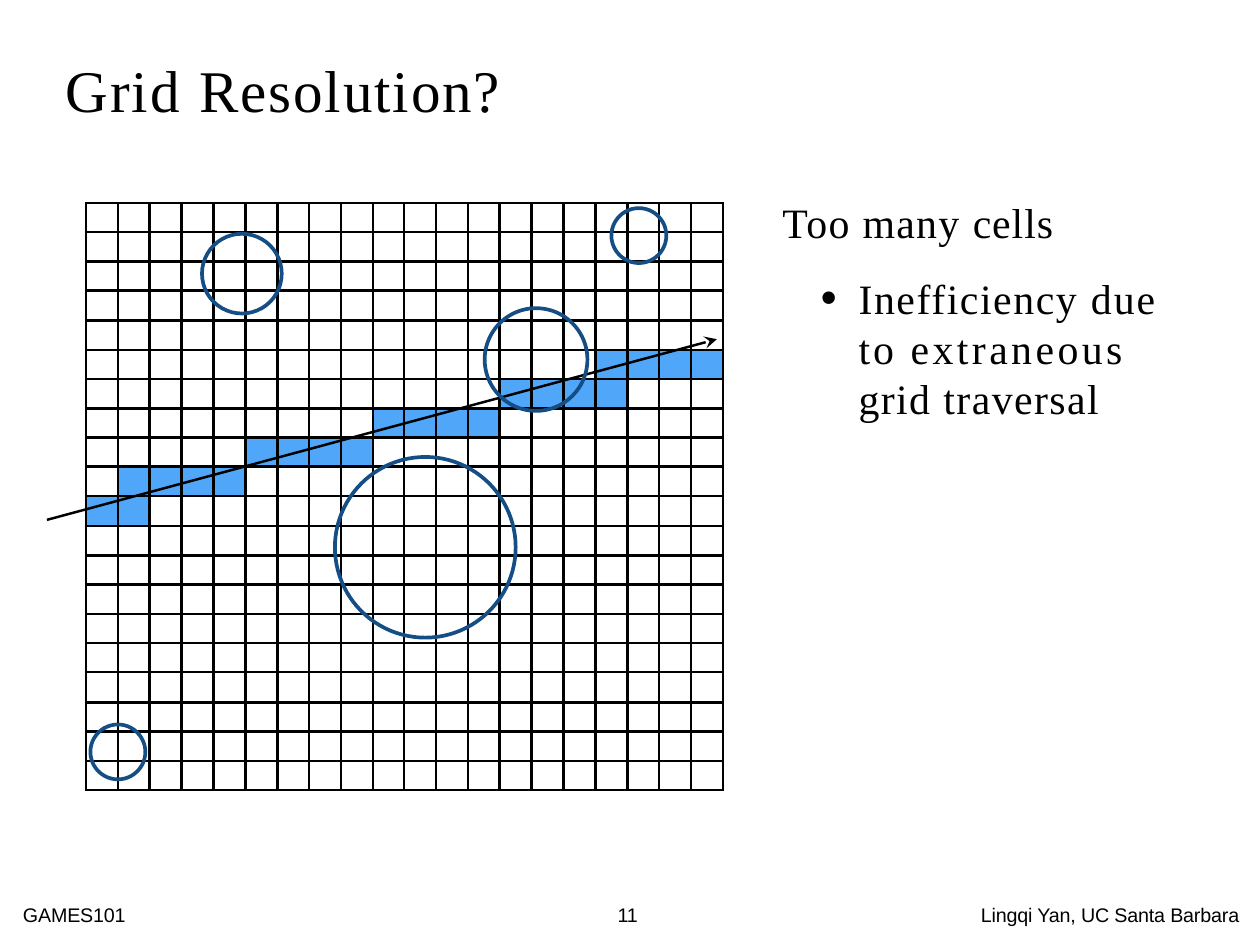
from lxml.etree import SubElement
from pptx import Presentation
from pptx.dml.color import RGBColor
from pptx.enum.shapes import MSO_CONNECTOR, MSO_SHAPE
from pptx.enum.text import MSO_ANCHOR, MSO_AUTO_SIZE, PP_ALIGN
from pptx.oxml.ns import qn
from pptx.util import Pt

PX = 9144  # 100 px to the inch
BLACK = RGBColor(0x00, 0x00, 0x00)
CELL_BLUE = RGBColor(0x50, 0xA6, 0xF8)
CIRCLE_BLUE = RGBColor(0x15, 0x4D, 0x85)
SERIF = "Times New Roman"
SANS = "Arial"

CELLS = 20
GRID_LEFT, GRID_RIGHT = 97, 816
GRID_TOP, GRID_BOTTOM = 229, 892
# row: (first column, number of cells) crossed by the ray
CROSSED = {5: (16, 4), 6: (13, 4), 7: (9, 4), 8: (5, 4), 9: (1, 4), 10: (0, 2)}
# centre x, centre y, radius
CIRCLES_BEHIND = [(721, 266, 31), (133, 849, 31), (480, 618, 102), (273, 309, 45)]
CIRCLE_IN_FRONT = (605, 406, 58)


class Slide:
    def __init__(self, prs):
        self.s = prs.slides.add_slide(prs.slide_layouts[1])
        self.shapes = self.s.shapes

    def place(self, sp, x, y, w, h):
        """Move a text shape and strip its margins, anchoring and autofit."""
        sp.left, sp.top, sp.width, sp.height = (v * PX for v in (x, y, w, h))
        tf = sp.text_frame
        tf.word_wrap = True
        tf.auto_size = MSO_AUTO_SIZE.NONE
        tf.vertical_anchor = MSO_ANCHOR.TOP
        tf.margin_left = tf.margin_top = tf.margin_right = tf.margin_bottom = 0
        return tf

    def runs(self, p, runs, size, font=SERIF):
        """Add (text, letter spacing in points) runs; None is a line break."""
        for run in runs:
            if run is None:
                p.add_line_break()
                continue
            text, spacing = run
            r = p.add_run()
            r.text = text
            r.font.name = font
            r.font.size = Pt(size)
            r.font.color.rgb = BLACK
            r._r.get_or_add_rPr().set("spc", str(round(spacing * 100)))

    def paragraph(self, p, line_spacing, before=0, margin=0, indent=0, bullet=None):
        p.alignment = PP_ALIGN.LEFT
        p.line_spacing = line_spacing
        p.space_before = Pt(before)
        pPr = p._p.get_or_add_pPr()
        pPr.set("marL", str(margin * PX))
        pPr.set("indent", str(indent * PX))
        if bullet:
            SubElement(pPr, qn("a:buSzPct"), val="125000")
            SubElement(pPr, qn("a:buFont"), typeface=SERIF)
            SubElement(pPr, qn("a:buChar"), char=bullet)
        else:
            SubElement(pPr, qn("a:buNone"))

    def label(self, x, y, w, text, align=PP_ALIGN.LEFT):
        tf = self.place(self.shapes.add_textbox(0, 0, 0, 0), x, y, w, 27)
        p = tf.paragraphs[0]
        p.alignment = align
        self.runs(p, [(text, -0.1)], 16, SANS)

    def shape(self, kind, x, y, w, h, fill=None, line=None):
        sp = self.shapes.add_shape(kind, x * PX, y * PX, w * PX, h * PX)
        sp.shadow.inherit = False
        if fill is None:
            sp.fill.background()
        else:
            sp.fill.solid()
            sp.fill.fore_color.rgb = fill
        if line is None:
            sp.line.fill.background()
        else:
            sp.line.color.rgb = line
            sp.line.width = Pt(3)

    def circle(self, cx, cy, radius):
        self.shape(MSO_SHAPE.OVAL, cx - radius, cy - radius,
                   2 * radius, 2 * radius, line=CIRCLE_BLUE)

    def line(self, x1, y1, x2, y2, arrow=False):
        c = self.shapes.add_connector(MSO_CONNECTOR.STRAIGHT,
                                      x1 * PX, y1 * PX, x2 * PX, y2 * PX)
        c.line.color.rgb = BLACK
        c.line.width = Pt(2)
        if arrow:
            SubElement(c.line._get_or_add_ln(), qn("a:tailEnd"),
                       type="stealth", w="lg", len="lg")
        SubElement(c._element.spPr, qn("a:effectLst"))


def divide(start, end):
    """Positions of the grid lines between two edges."""
    return [round(start + i * (end - start) / CELLS) for i in range(CELLS + 1)]


def add_text(slide):
    tf = slide.place(slide.shapes.title, 74, 49, 800, 91)
    p = tf.paragraphs[0]
    slide.paragraph(p, 1.14)
    slide.runs(p, [("Grid ", 1.7), ("Resolution?", 1.6)], 48)

    tf = slide.place(slide.s.placeholders[1], 883, 214, 516, 280)
    p = tf.paragraphs[0]
    slide.paragraph(p, 1.14)
    slide.runs(p, [("Too many ", 1.1), ("cells", 0.8)], 34)
    p = tf.add_paragraph()
    slide.paragraph(p, 1.0, before=21, margin=86, indent=-44, bullet="•")
    slide.runs(p, [("Inefficiency ", 1.3), ("due", 1.6), None,
                   ("to ", 2.5), ("extraneous", 2.8), None,
                   ("grid traversal", 1.2)], 34)

    slide.label(26, 1020, 200, "GAMES101")
    slide.label(697, 1019, 60, "11")
    slide.label(1049, 1019, 350, "Lingqi Yan, UC Santa Barbara", PP_ALIGN.RIGHT)


def add_grid(slide):
    xs = divide(GRID_LEFT, GRID_RIGHT)
    ys = divide(GRID_TOP, GRID_BOTTOM)
    for row, (first, count) in CROSSED.items():
        for col in range(first, first + count):
            slide.shape(MSO_SHAPE.RECTANGLE, xs[col], ys[row],
                        xs[col + 1] - xs[col], ys[row + 1] - ys[row], fill=CELL_BLUE)
    for x in xs:
        slide.line(x, GRID_TOP - 1, x, GRID_BOTTOM + 1)
    for y in ys:
        slide.line(GRID_LEFT - 1, y, GRID_RIGHT + 1, y)


def main():
    prs = Presentation()
    prs.slide_width, prs.slide_height = 1422 * PX, 1067 * PX
    slide = Slide(prs)
    add_text(slide)
    add_grid(slide)
    for circle in CIRCLES_BEHIND:
        slide.circle(*circle)
    slide.line(53, 587, 809, 383, arrow=True)
    slide.circle(*CIRCLE_IN_FRONT)
    prs.save("out.pptx")


if __name__ == "__main__":
    main()
